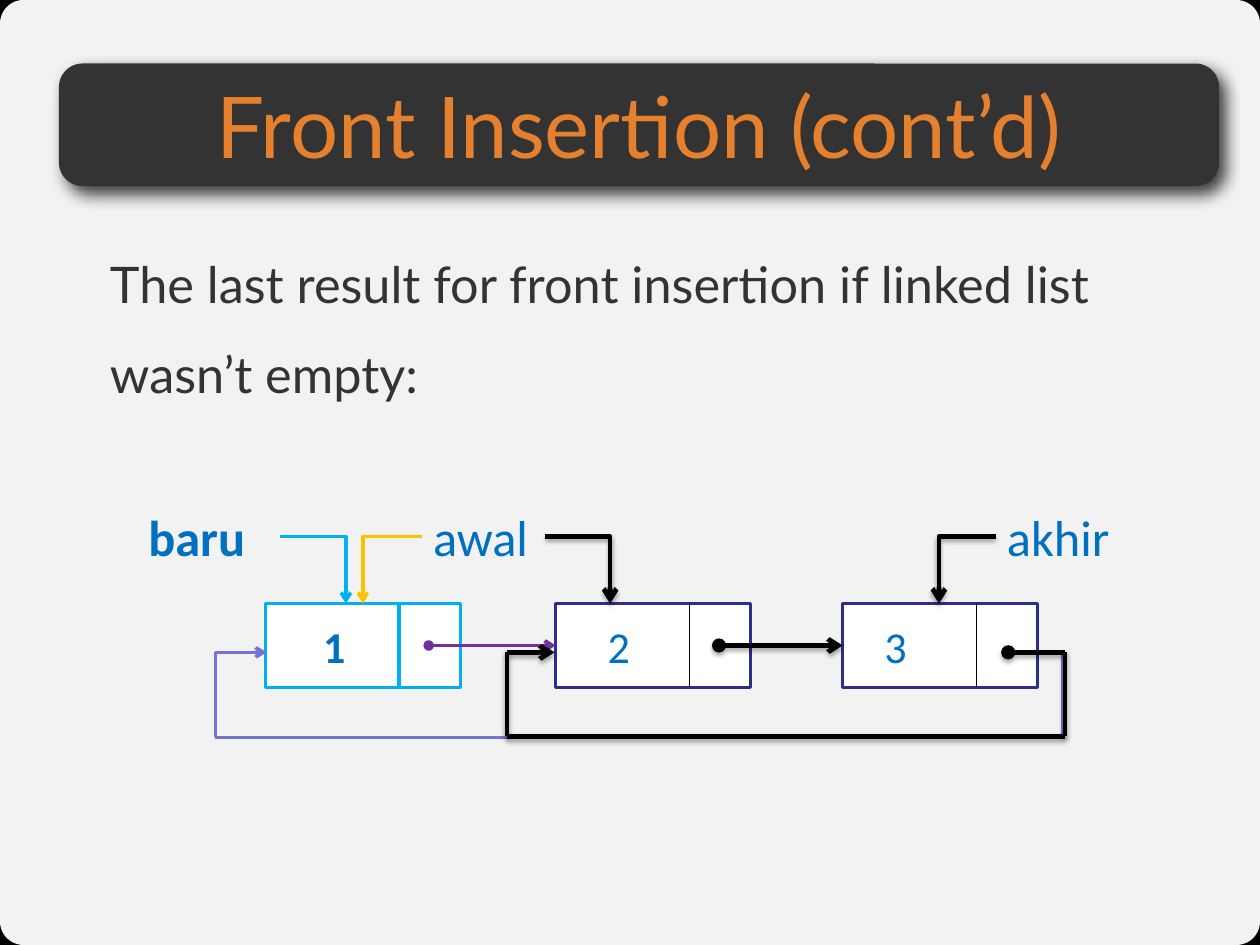
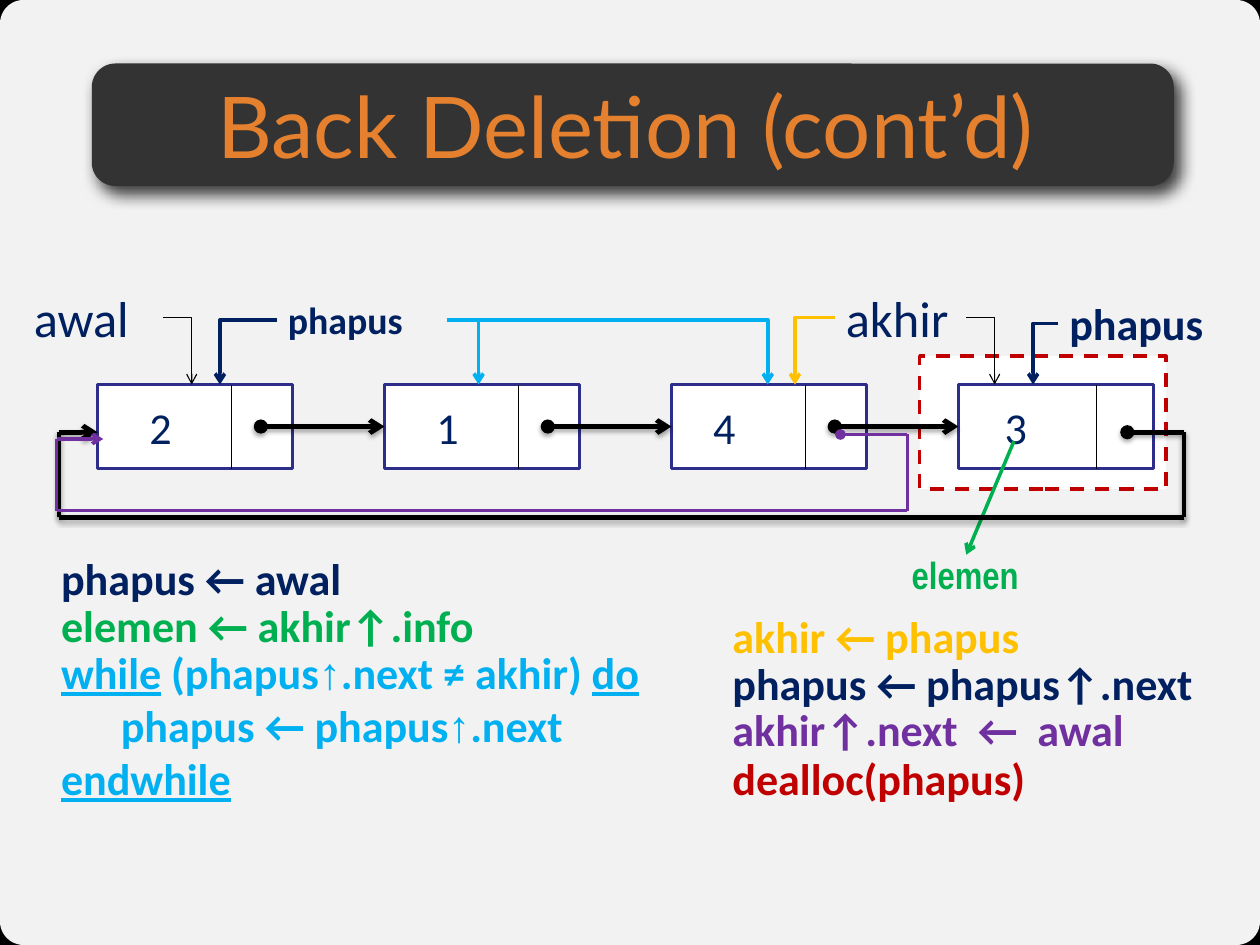
from dataclasses import dataclass
from itertools import pairwise

from pptx import Presentation
from pptx.dml.color import RGBColor
from pptx.enum.dml import MSO_LINE
from pptx.enum.shapes import MSO_CONNECTOR, MSO_SHAPE
from pptx.enum.text import MSO_ANCHOR, PP_ALIGN
from pptx.oxml.ns import qn
from pptx.util import Pt
from lxml.etree import SubElement

EMU_PER_PX = 9144
SLIDE_W, SLIDE_H = 1111, 833
NODE_W, NODE_H, DIVIDER_DX, NEXT_DX = 172, 74, 118, 144


@dataclass(frozen=True)
class Theme:
    black: str = "000000"
    white: str = "FFFFFF"
    charcoal: str = "333333"
    orange: str = "E5812E"
    indigo: str = "2D2D8A"
    lavender: str = "7575D1"
    sky: str = "00B0F0"
    blue: str = "0070C0"
    navy: str = "002060"
    gold: str = "FFC000"
    purple: str = "7030A0"
    green: str = "00B050"
    red: str = "C00000"
    heading_font: str = "Lato"
    label_font: str = "Calibri"
    narrow_font: str = "Arial Narrow"
    title_size: int = 54
    large: int = 32
    medium: int = 28
    small: int = 24
    hairline: float = 0.75
    node_line: float = 2
    accent_line: float = 2.25
    bold_line: float = 3
    bar_shadow: tuple = (75, 10, 6, 51)
    line_shadow: tuple = (35, 3.1, 1.8, 90)


THEME = Theme()


def px(length):
    return length * EMU_PER_PX


def add_shadow(effects, strength):
    alpha, blur, distance, angle = strength
    outer = SubElement(effects, qn("a:outerShdw"), blurRad=str(Pt(blur)),
                       dist=str(Pt(distance)), dir=str(angle * 60000),
                       algn="ctr", rotWithShape="0")
    tint = SubElement(outer, qn("a:srgbClr"), val=THEME.black)
    SubElement(tint, qn("a:alpha"), val=str(alpha * 1000))


def write(frame, content, *, size, color, font=THEME.label_font, bold=False,
          align=None, spacing=None):
    paragraphs = [[(content, {})]] if isinstance(content, str) else content
    for index, pieces in enumerate(paragraphs):
        paragraph = frame.paragraphs[0] if index == 0 else frame.add_paragraph()
        paragraph.alignment = align
        paragraph.line_spacing = spacing
        for words, change in pieces:
            run = paragraph.add_run()
            run.text = words
            run.font.size = Pt(size)
            run.font.bold = bold
            run.font.name = change.get("font", font)
            run.font.underline = change.get("underline", False)
            run.font.color.rgb = RGBColor.from_string(color)


class Deck:
    def __init__(self, theme):
        self.theme = theme
        self.presentation = Presentation()
        self.presentation.slide_width = px(SLIDE_W)
        self.presentation.slide_height = px(SLIDE_H)
        self.slide = None

    def new_slide(self):
        self.slide = self.presentation.slides.add_slide(
            self.presentation.slide_layouts[6])
        backdrop = self.slide.background.fill
        backdrop.solid()
        backdrop.fore_color.rgb = RGBColor.from_string(self.theme.black)
        page = self.box(0, 0, SLIDE_W, SLIDE_H, radius=0.025)
        tint = page.fill._xPr.find(qn("a:solidFill"))[0]
        SubElement(tint, qn("a:alpha"), val="95000")

    def box(self, x, y, w, h, *, fill=THEME.white, line=None, weight=2,
            radius=None, dashed=False):
        kind = MSO_SHAPE.RECTANGLE if radius is None else MSO_SHAPE.ROUNDED_RECTANGLE
        shape = self.slide.shapes.add_shape(kind, px(x), px(y), px(w), px(h))
        shape.shadow.inherit = False
        shape.fill.solid()
        shape.fill.fore_color.rgb = RGBColor.from_string(fill)
        if radius is not None:
            shape.adjustments[0] = radius
        if line is None:
            shape.line.fill.background()
        else:
            shape.line.color.rgb = RGBColor.from_string(line)
            shape.line.width = Pt(weight)
        if dashed:
            shape.line.dash_style = MSO_LINE.DASH
        return shape

    def text(self, content, x, y, w, h, *, inset=True, anchor=MSO_ANCHOR.TOP,
             **style):
        frame = self.slide.shapes.add_textbox(px(x), px(y), px(w), px(h)).text_frame
        frame.word_wrap = True
        frame.vertical_anchor = anchor
        if not inset:
            frame.margin_left = frame.margin_right = 0
            frame.margin_top = frame.margin_bottom = 0
        write(frame, content, **style)

    def title(self, words, bar_x, bar_w, text_x, text_w):
        bar = self.box(bar_x, 56, bar_w, 108, fill=self.theme.charcoal, radius=0.192)
        add_shadow(bar._element.spPr.find(qn("a:effectLst")), self.theme.bar_shadow)
        self.text(words, text_x, 60, text_w, 100, inset=False,
                  anchor=MSO_ANCHOR.MIDDLE, align=PP_ALIGN.CENTER,
                  size=self.theme.title_size, color=self.theme.orange,
                  font=self.theme.heading_font)

    def line(self, start, end, *, color=THEME.black, weight=THEME.accent_line,
             head=None, tail=None, shaded=False, bent=False):
        kind = MSO_CONNECTOR.ELBOW if bent else MSO_CONNECTOR.STRAIGHT
        connector = self.slide.shapes.add_connector(
            kind, px(start[0]), px(start[1]), px(end[0]), px(end[1]))
        connector.line.color.rgb = RGBColor.from_string(color)
        connector.line.width = Pt(weight)
        properties = connector._element.spPr
        if bent:
            properties.find(qn("a:prstGeom")).set("prst", "bentConnector2")
        outline = properties.find(qn("a:ln"))
        for tag, mark in (("a:headEnd", head), ("a:tailEnd", tail)):
            if mark:
                SubElement(outline, qn(tag), type=mark)
        effects = SubElement(properties, qn("a:effectLst"))
        if shaded:
            add_shadow(effects, self.theme.line_shadow)
        return connector

    def pointer(self, start, end, **style):
        self.line(start, end, tail="arrow", bent=True, **style)

    def node(self, x, y, value, value_dx, *, color, line=THEME.indigo,
             weight=THEME.node_line, divider=THEME.black,
             divider_weight=THEME.hairline, divider_dx=DIVIDER_DX, bold=False):
        cell = self.box(x, y, NODE_W, NODE_H, line=line, weight=weight)
        self.line((x + divider_dx, y), (x + divider_dx, y + NODE_H),
                  color=divider, weight=divider_weight)
        self.text(value, x + value_dx, y + 9, 63, 57, size=self.theme.medium,
                  color=color, bold=bold)
        return cell

    def next_link(self, source, target, **style):
        middle = target.top // EMU_PER_PX + NODE_H // 2
        link = self.line((source.left // EMU_PER_PX + NEXT_DX, middle),
                         (target.left // EMU_PER_PX, middle),
                         head="oval", tail="arrow", **style)
        link.end_connect(target, 1)

    def loop(self, start, right, bottom, left, end, **style):
        corners = [start, (right, start[1]), (right, bottom), (left, bottom),
                   (left, end[1]), end]
        legs = list(pairwise(corners))
        for index, (leg_start, leg_end) in enumerate(legs):
            self.line(leg_start, leg_end,
                      head="oval" if index == 0 else None,
                      tail="arrow" if index == len(legs) - 1 else None, **style)


def front_insertion(deck):
    t = deck.theme
    strong = {"weight": t.bold_line, "shaded": True}
    deck.new_slide()
    deck.text("The last result for front insertion if linked list wasn’t empty:",
              97, 196, 956, 559, inset=False, spacing=1.5, size=t.large,
              color=t.charcoal, font=t.heading_font)
    deck.title("Front Insertion (cont’d)", 52, 1023, 52, 1023)

    node_y = 532
    first = deck.node(234, node_y, "1", 41, color=t.blue, line=t.sky,
                      weight=t.accent_line, divider=t.sky,
                      divider_weight=t.accent_line, bold=True)
    second = deck.node(490, node_y, "2", 36, color=t.blue)
    third = deck.node(743, node_y, "3", 27, color=t.blue)
    for name, x, bold in (("baru", 121, True), ("awal", 372, False),
                          ("akhir", 878, False)):
        deck.text(name, x, 441, 126, 64, size=t.large, color=t.blue, bold=bold)

    deck.next_link(second, third, **strong)
    deck.pointer((878, 473), (828, node_y), **strong)
    deck.pointer((247, 473), (305, node_y), color=t.sky)
    deck.pointer((372, 473), (320, node_y), color=t.gold)
    deck.next_link(first, second, color=t.purple)
    deck.loop((888, 576), 937, 650, 190, (235, 575), color=t.lavender)
    deck.loop((889, 575), 939, 649, 447, (489, 575), **strong)
    deck.pointer((481, 473), (538, node_y), **strong)


def back_deletion(deck):
    t = deck.theme
    strong = {"weight": t.bold_line, "shaded": True}
    deck.new_slide()
    deck.title("Back Deletion (cont’d)", 81, 954, 68, 967)
    deck.box(811, 314, 217, 117, line=t.red, weight=t.accent_line, dashed=True)

    node_y = 339
    nodes = [deck.node(x, node_y, value, value_dx, color=t.navy, divider_dx=divider_dx)
             for x, value, value_dx, divider_dx in (
                 (86, "2", 36, DIVIDER_DX), (339, "1", 36, DIVIDER_DX),
                 (592, "4", 27, DIVIDER_DX), (845, "3", 31, 122))]

    for name, x, y, w, size, bold in (
            ("awal", 20, 248, 124, t.large, False),
            ("akhir", 736, 248, 117, t.large, False),
            ("phapus", 244, 257, 150, t.small, True),
            ("phapus", 933, 256, 166, t.medium, True)):
        deck.text(name, x, y, w, 57, size=size, color=t.navy, bold=bold)
    deck.text("elemen", 794, 481, 158, 50, size=t.small, color=t.green,
              font=t.narrow_font, bold=True)

    for words, x, y, color in (
            ("phapus ← awal", 44, 481, t.navy),
            ("elemen ← akhir↑.info", 44, 523, t.green),
            ("akhir ← phapus", 636, 532, t.gold),
            ("phapus ← phapus↑.next", 636, 574, t.navy),
            ("akhir↑.next  ←  awal", 636, 614, t.purple),
            ("dealloc(phapus)", 636, 657, t.red)):
        deck.text(words, x, y, 475, 57, size=t.medium, color=color, bold=True)

    keyword, arrow = {"underline": True}, {"font": t.narrow_font}
    deck.text([
        [("while", keyword), (" (phapus", {}), ("↑", arrow),
         (".next ≠ akhir) ", {}), ("do", keyword)],
        [("      phapus ← phapus", {}), ("↑", arrow), (".next", {})],
        [("endwhile", keyword)],
    ], 44, 564, 550, 151, size=t.medium, color=t.sky, bold=True)

    for start, end, color, weight in (
            ((736, 280), (701, node_y), t.gold, t.accent_line),
            ((852, 280), (877, node_y), t.black, t.hairline),
            ((144, 280), (169, node_y), t.black, t.hairline),
            ((244, 282), (194, node_y), t.navy, t.accent_line),
            ((394, 282), (422, node_y), t.sky, t.accent_line),
            ((394, 282), (677, node_y), t.sky, t.accent_line),
            ((933, 285), (911, node_y), t.navy, t.accent_line)):
        deck.pointer(start, end, color=color, weight=weight)
    deck.line((894, 389), (852, 489), color=t.green, tail="arrow")

    for source, target in pairwise(nodes):
        deck.next_link(source, target, **strong)
    deck.loop((994, 381), 1044, 456, 52, (86, 381), **strong)
    deck.loop((741, 383), 800, 450, 50, (91, 387), color=t.purple)


def main():
    deck = Deck(THEME)
    front_insertion(deck)
    back_deletion(deck)
    deck.presentation.save("out.pptx")


if __name__ == "__main__":
    main()
